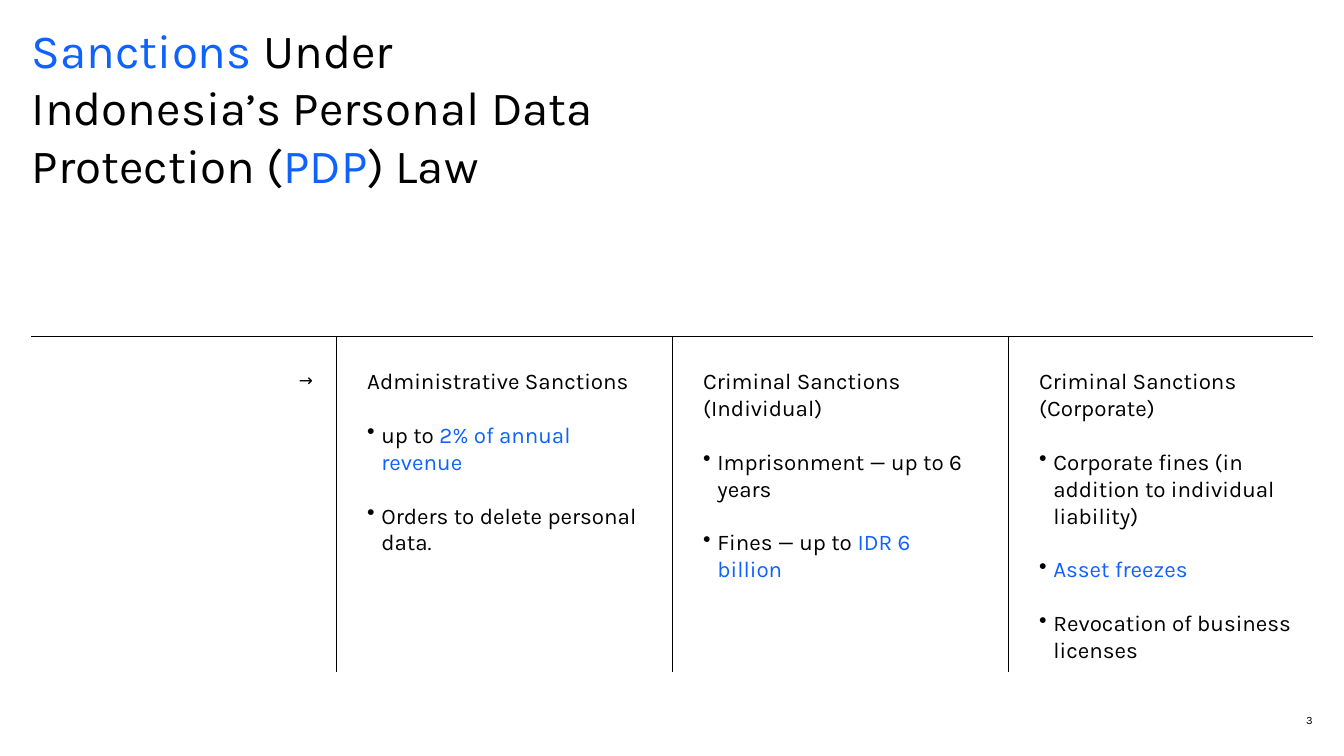
from pptx import Presentation
from pptx.dml.color import RGBColor
from pptx.enum.shapes import MSO_CONNECTOR as CONN
from pptx.enum.text import MSO_ANCHOR as ANCHOR, MSO_AUTO_SIZE as AUTO, PP_ALIGN as ALIGN
from pptx.oxml.ns import qn
from pptx.util import Inches, Pt
from lxml.etree import SubElement

FONT, BLACK, BLUE = "Karla", "000000", "0F62FE"
TITLE = [("Sanctions", BLUE), (" Under Indonesia’s Personal Data Protection (", BLACK),
         ("PDP", BLUE), (") Law", BLACK)]
COLUMNS = [
    ("Administrative Sanctions", [
        [("up to ", BLACK), ("2% of annual revenue", BLUE)],
        [("Orders to delete personal data.", BLACK)]]),
    ("Criminal Sanctions (Individual)", [
        [("Imprisonment — up to 6 years", BLACK)],
        [("Fines — up to ", BLACK), ("IDR 6 billion", BLUE)]]),
    ("Criminal Sanctions (Corporate)", [
        [("Corporate fines (in addition to individual liability)", BLACK)],
        [("Asset freezes", BLUE)],
        [("Revocation of business licenses", BLACK)]]),
]
W, H = 26.67, 15
COL = W / 4
MARGIN = 0.62
RULE_Y, BOTTOM = COL, 2 * COL
TEXT_Y = RULE_Y + MARGIN
TEXT_W, TEXT_H = 5.41, 6.04
BODY = 32


def rgb(value):
    return RGBColor.from_string(value)


def write(p, parts, size, align=ALIGN.LEFT):
    p.alignment = align
    for text, color in parts:
        r = p.add_run()
        r.text = text
        r.font.name, r.font.size = FONT, Pt(size)
        r.font.color.rgb = rgb(color)


def bullet(p):
    pPr = p._p.get_or_add_pPr()
    pPr.set("marL", str(Inches(0.28)))
    pPr.set("indent", str(-Inches(0.28)))
    color = SubElement(pPr, qn("a:buClr"))
    SubElement(color, qn("a:srgbClr")).set("val", BLACK)
    SubElement(pPr, qn("a:buChar")).set("char", "•")


def frame(shape, anchor=ANCHOR.TOP, right=0):
    tf = shape.text_frame
    tf.word_wrap, tf.auto_size, tf.vertical_anchor = True, AUTO.NONE, anchor
    tf.margin_left = tf.margin_top = tf.margin_bottom = 0
    tf.margin_right = Inches(right)
    return tf


def box(x, y, w, h, anchor=ANCHOR.TOP):
    return frame(s.shapes.add_textbox(*map(Inches, (x, y, w, h))), anchor)


def line(x1, y1, x2, y2):
    c = s.shapes.add_connector(CONN.STRAIGHT, *map(Inches, (x1, y1, x2, y2)))
    c.line.color.rgb, c.line.width = rgb(BLACK), Pt(1)
    SubElement(c._element.spPr, qn("a:effectLst"))


prs = Presentation()
prs.slide_width, prs.slide_height = Inches(W), Inches(H)
s = prs.slides.add_slide(prs.slide_layouts[5])

title = s.shapes.title
title.left, title.top, title.width, title.height = map(Inches, (0.63, 0.42, 12.07, 4.6))
write(frame(title, right=0.5).paragraphs[0], TITLE, 68)

line(MARGIN, RULE_Y, W - MARGIN, RULE_Y)
p = box(0.8, TEXT_Y, TEXT_W, 5.85).paragraphs[0]
p.line_spacing = 1.1
write(p, [("→", BLACK)], 24, ALIGN.RIGHT)

for i, (heading, items) in enumerate(COLUMNS, 1):
    line(i * COL, RULE_Y, i * COL, BOTTOM)
    width = 5.74 if i == len(COLUMNS) else TEXT_W
    tf = box(i * COL + MARGIN, TEXT_Y, width, TEXT_H)
    write(tf.paragraphs[0], [(heading, BLACK)], BODY)
    for item in items:
        p = tf.add_paragraph()
        bullet(p)
        p.space_before = Pt(BODY * 1.2)
        write(p, item, BODY)

write(box(25.75, 14.16, 0.3, 0.27, ANCHOR.MIDDLE).paragraphs[0], [("3", BLACK)], 16, ALIGN.RIGHT)

prs.save("out.pptx")
